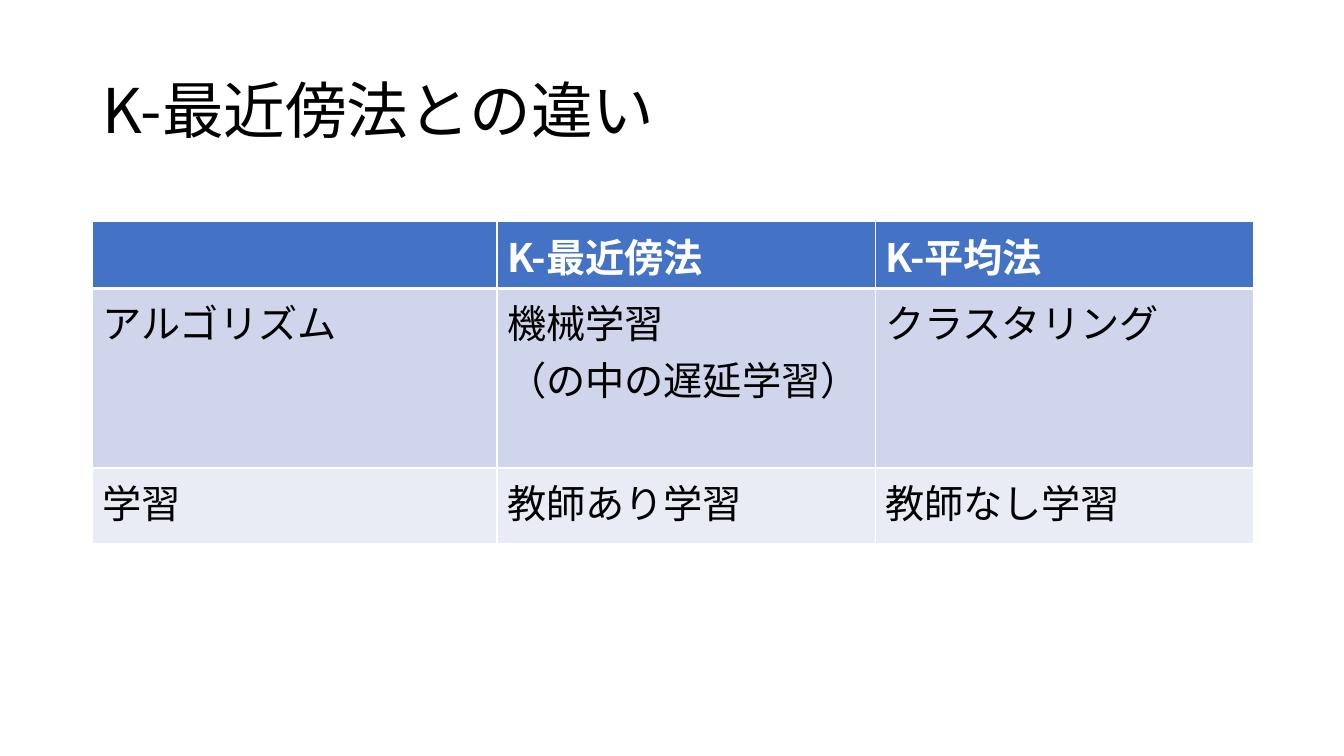
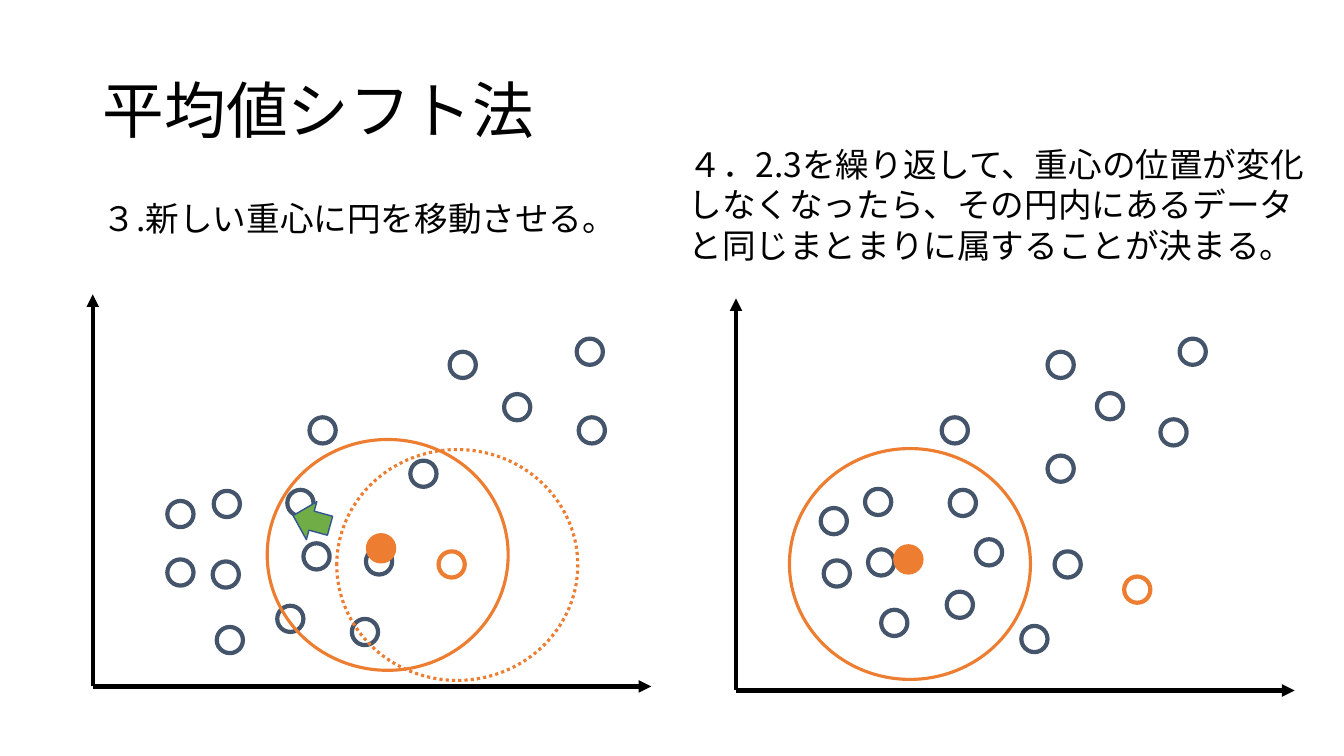
from dataclasses import dataclass

import lxml.etree
import pptx
import pptx.dml.color
import pptx.enum.dml
import pptx.enum.lang
import pptx.enum.shapes
import pptx.enum.text
import pptx.oxml
import pptx.oxml.ns
import pptx.presentation
import pptx.shapes.autoshape
import pptx.slide
import pptx.table
import pptx.text.text
import pptx.util

Inches = pptx.util.Inches
Pt = pptx.util.Pt
RGBColor = pptx.dml.color.RGBColor
SHAPE = pptx.enum.shapes.MSO_SHAPE
qn = pptx.oxml.ns.qn

BLACK = RGBColor(0x00, 0x00, 0x00)
WHITE = RGBColor(0xFF, 0xFF, 0xFF)
HEADER_BLUE = RGBColor(0x44, 0x72, 0xC4)
BAND_DARK = RGBColor(0xCF, 0xD5, 0xEA)
BAND_LIGHT = RGBColor(0xE9, 0xEB, 0xF5)
SLATE = RGBColor(0x44, 0x54, 0x6A)
ORANGE = RGBColor(0xED, 0x7D, 0x31)
GREEN = RGBColor(0x70, 0xAD, 0x47)
ARROW_EDGE = RGBColor(0x32, 0x54, 0x91)

FONT = "Noto Sans CJK JP"
MARGIN = 0.92
TITLE_ONLY = 5
DOT_SIZE = 0.26
CIRCLE_WIDTH, CIRCLE_HEIGHT = 2.39, 2.29
AXIS_WIDTH, AXIS_HEIGHT = 5.54, 3.89

Position = tuple[float, float]


@dataclass(frozen=True)
class Caption:
    text: str
    left: float
    top: float
    width: float
    height: float


@dataclass(frozen=True)
class Scatter:
    caption: Caption
    origin: Position
    points: list[Position]
    seed: Position
    circle: Position
    center: Position


TABLE_ROWS = [
    ["", "K-最近傍法", "K-平均法"],
    ["アルゴリズム", "機械学習\n（の中の遅延学習）", "クラスタリング"],
    ["学習", "教師あり学習", "教師なし学習"],
]
COLUMN_WIDTHS = [4.01, 3.75, 3.75]
ROW_HEIGHTS = [0.56, 1.78, 0.75]
ROW_FILLS = [HEADER_BLUE, BAND_DARK, BAND_LIGHT]

SCATTERS = [
    Scatter(
        caption=Caption("３.新しい重心に円を移動させる。", MARGIN, 1.91, 5.6, 0.5),
        origin=(MARGIN, 6.81),
        points=[
            (1.66, 4.97), (2.11, 5.57), (1.66, 5.55), (2.85, 4.86), (2.12, 4.87),
            (2.75, 6.01), (3.07, 4.14), (3.01, 5.39), (3.63, 5.44), (4.46, 3.49),
            (2.15, 6.22), (5.72, 3.36), (3.49, 6.14), (5.74, 4.14), (4.07, 4.57),
            (5.0, 3.91),
        ],
        seed=(4.35, 5.47),
        circle=(2.65, 4.36),
        center=(3.65, 5.31),
    ),
    Scatter(
        caption=Caption(
            "４．2.3を繰り返して、重心の位置が変化しなくなったら、"
            "その円内にあるデータと同じまとまりに属することが決まる。",
            6.73, 1.38, 6.43, 1.31,
        ),
        origin=(7.3, 6.85),
        points=[
            (11.7, 3.36), (10.39, 3.49), (10.88, 3.9), (11.51, 4.16), (10.39, 4.52),
            (9.34, 4.14), (8.58, 4.85), (8.14, 5.04), (9.42, 4.86), (8.61, 5.45),
            (8.17, 5.56), (9.68, 5.35), (10.46, 5.47), (8.74, 6.05), (9.39, 5.87),
            (10.13, 6.21),
        ],
        seed=(11.15, 5.72),
        circle=(7.83, 4.45),
        center=(8.88, 5.42),
    ),
]


def format_text(
    frame: pptx.text.text.TextFrame, size: float, color: RGBColor, bold: bool = False
) -> None:
    for para in frame.paragraphs:
        for span in para.runs:
            span.font.name = FONT
            span.font.size = Pt(size)
            span.font.bold = bold
            span.font.color.rgb = color
            span.font.language_id = pptx.enum.lang.MSO_LANGUAGE_ID.JAPANESE
            east_asian = lxml.etree.Element(qn("a:ea"), typeface=FONT)
            span.font._element.find(qn("a:latin")).addnext(east_asian)


def add_titled_page(deck: pptx.presentation.Presentation, title: str) -> pptx.slide.Slide:
    page = deck.slides.add_slide(deck.slide_layouts[TITLE_ONLY])
    box = page.shapes.title
    box.left, box.top = Inches(MARGIN), Inches(0.4)
    box.width, box.height = Inches(11.5), Inches(1.45)
    frame = box.text_frame
    frame.text = title
    frame.word_wrap = True
    frame.auto_size = pptx.enum.text.MSO_AUTO_SIZE.NONE
    frame.vertical_anchor = pptx.enum.text.MSO_ANCHOR.MIDDLE
    frame.paragraphs[0].alignment = pptx.enum.text.PP_ALIGN.LEFT
    frame.paragraphs[0].line_spacing = 0.9
    format_text(frame, 44, BLACK)
    return page


def add_border(cell: pptx.table._Cell, side: str, width: float) -> None:
    properties = cell._tc.get_or_add_tcPr()
    edge = lxml.etree.SubElement(properties, qn(f"a:ln{side}"), w=str(Pt(width)))
    fill = lxml.etree.SubElement(edge, qn("a:solidFill"))
    lxml.etree.SubElement(fill, qn("a:srgbClr"), val=str(WHITE))


def add_comparison_table(page: pptx.slide.Slide) -> None:
    table = page.shapes.add_table(
        len(TABLE_ROWS), len(COLUMN_WIDTHS), Inches(MARGIN), Inches(2.2),
        Inches(sum(COLUMN_WIDTHS)), Inches(sum(ROW_HEIGHTS)),
    ).table
    for column, width in zip(table.columns, COLUMN_WIDTHS):
        column.width = Inches(width)
    for row_index, texts in enumerate(TABLE_ROWS):
        table.rows[row_index].height = Inches(ROW_HEIGHTS[row_index])
        is_header = row_index == 0
        borders = {
            "L": 1, "R": 1,
            "T": 3 if row_index == 1 else 1,
            "B": 3 if is_header else 1,
        }
        for column_index, text in enumerate(texts):
            cell = table.cell(row_index, column_index)
            for side, width in borders.items():
                add_border(cell, side, width)
            cell.fill.solid()
            cell.fill.fore_color.rgb = ROW_FILLS[row_index]
            cell.text_frame.text = text
            format_text(cell.text_frame, 28, WHITE if is_header else BLACK, is_header)


def add_figure(
    page: pptx.slide.Slide,
    kind: pptx.enum.shapes.MSO_SHAPE,
    position: Position,
    size: Position,
    fill: RGBColor | None,
    line: RGBColor,
    line_width: float,
) -> pptx.shapes.autoshape.Shape:
    figure = page.shapes.add_shape(
        kind, *(Inches(length) for length in (*position, *size))
    )
    figure.shadow.inherit = False
    if fill is None:
        figure.fill.background()
    else:
        figure.fill.solid()
        figure.fill.fore_color.rgb = fill
    figure.line.color.rgb = line
    figure.line.width = Pt(line_width)
    return figure


def add_dot(page: pptx.slide.Slide, position: Position, fill: RGBColor, line: RGBColor) -> None:
    add_figure(page, SHAPE.OVAL, position, (DOT_SIZE, DOT_SIZE), fill, line, 3)


def add_circle(page: pptx.slide.Slide, position: Position) -> pptx.shapes.autoshape.Shape:
    size = (CIRCLE_WIDTH, CIRCLE_HEIGHT)
    return add_figure(page, SHAPE.OVAL, position, size, None, ORANGE, 2.25)


def add_axis(page: pptx.slide.Slide, start: Position, end: Position) -> None:
    axis = page.shapes.add_connector(
        pptx.enum.shapes.MSO_CONNECTOR.STRAIGHT,
        *(Inches(length) for length in (*start, *end)),
    )
    axis.line.color.rgb = BLACK
    axis.line.width = Pt(3)
    lxml.etree.SubElement(axis.line._get_or_add_ln(), qn("a:tailEnd"), type="triangle")
    lxml.etree.SubElement(axis._element.spPr, qn("a:effectLst"))


def add_caption(page: pptx.slide.Slide, caption: Caption) -> None:
    box = page.shapes.add_textbox(
        Inches(caption.left), Inches(caption.top),
        Inches(caption.width), Inches(caption.height),
    )
    box.text_frame.word_wrap = True
    box.text_frame.text = caption.text
    format_text(box.text_frame, 24, BLACK)


def add_scatter(page: pptx.slide.Slide, scatter: Scatter) -> None:
    left, bottom = scatter.origin
    add_axis(page, scatter.origin, (left, bottom - AXIS_HEIGHT))
    add_axis(page, scatter.origin, (left + AXIS_WIDTH, bottom))
    for point in scatter.points:
        add_dot(page, point, WHITE, SLATE)
    add_dot(page, scatter.seed, WHITE, ORANGE)
    add_circle(page, scatter.circle)
    add_caption(page, scatter.caption)
    add_dot(page, scatter.center, ORANGE, ORANGE)


def add_shift_marks(page: pptx.slide.Slide) -> None:
    arrow = add_figure(
        page, SHAPE.RIGHT_ARROW, (2.9, 4.97), (0.38, 0.39), GREEN, ARROW_EDGE, 1
    )
    arrow.rotation = 195.4
    previous_circle = add_circle(page, (3.34, 4.46))
    previous_circle.line.dash_style = pptx.enum.dml.MSO_LINE.ROUND_DOT


def main() -> None:
    deck = pptx.Presentation()
    deck.slide_width, deck.slide_height = Inches(13.33), Inches(7.5)
    add_comparison_table(add_titled_page(deck, "K-最近傍法との違い"))
    shift_page = add_titled_page(deck, "平均値シフト法")
    for scatter in SCATTERS:
        add_scatter(shift_page, scatter)
    add_shift_marks(shift_page)
    deck.save("out.pptx")


main()
